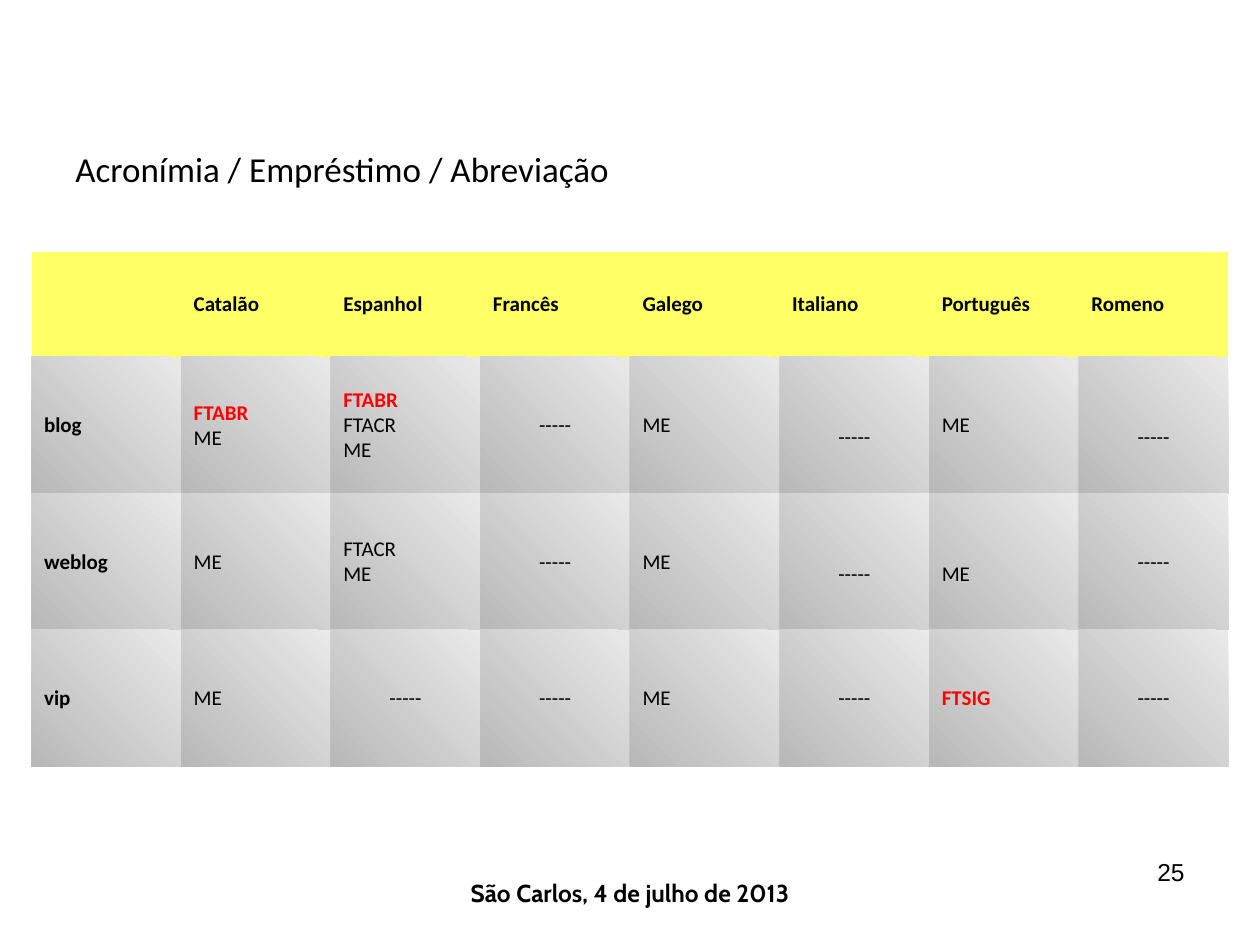
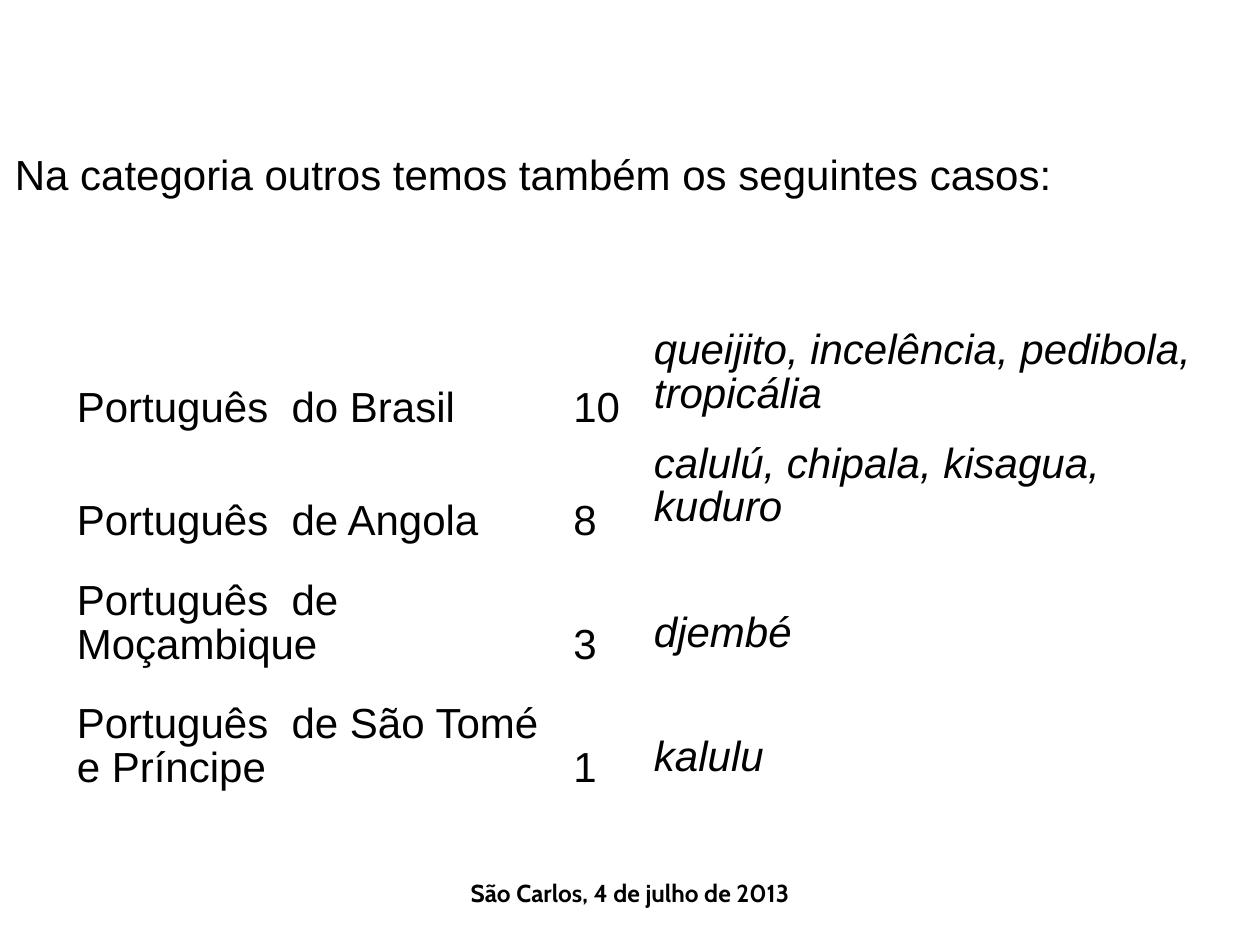
"""Build two slides on Romance neologisms: a process table and a list of other cases."""
from dataclasses import dataclass, field

from pptx import Presentation
from pptx.dml.color import RGBColor
from pptx.enum.text import MSO_ANCHOR as Anchor, PP_ALIGN as Align
from pptx.oxml.ns import qn
from pptx.util import Pt

COLORS = {"ink": "000000", "accent": "FF0000", "header": "FFFF66",
          "light": "E9E9E9", "dark": "B8B8B8"}
PLAIN_STYLE = "{2D5ABB26-0587-4C30-8999-92F81FD0307C}"
INSET_X, INSET_Y = 7.2, 3.6


@dataclass(frozen=True)
class Font:
    name: str
    size: float
    bold: bool = False
    italic: bool = False
    color: str = "ink"


@dataclass(frozen=True)
class Label:
    text: str
    box: tuple[float, float, float, float]
    font: Font
    align: Align = Align.LEFT
    anchor: Anchor = Anchor.TOP


@dataclass(frozen=True)
class Entry:
    lines: list[tuple[str, Font]] = field(default_factory=list)
    align: Align = Align.LEFT
    anchor: Anchor = Anchor.MIDDLE
    drop: float = 0
    fill: str = ""


@dataclass(frozen=True)
class Grid:
    left: float
    top: float
    widths: list[float]
    heights: list[float]
    spacing: float
    entries: list[list[Entry]]


BODY = Font("Calibri", 12)
STRONG = Font("Calibri", 12, bold=True)
MARKED = Font("Calibri", 12, bold=True, color="accent")
LARGE = Font("Arial", 24)
EXAMPLE = Font("Arial", 24, italic=True)

FOOTER = Label("São Carlos, 4 de julho de 2013", (246, 498, 228, 31),
               Font("Cabin", 14, bold=True), Align.CENTER)
PAGE_NUMBER = Label("25", (516, 486, 168, 43), Font("Arial", 14), Align.RIGHT)
PROCESS_TITLE = Label("Acronímia / Empréstimo / Abreviação", (36, 66, 654, 60),
                      Font("Calibri", 20), anchor=Anchor.MIDDLE)
CASES_TITLE = Label("Na categoria outros temos também os seguintes casos:",
                    (1.4, 81.5, 660, 64), LARGE)

LANGUAGES = ["", "Catalão", "Espanhol", "Francês", "Galego", "Italiano",
             "Português", "Romeno"]
NONE = "-----"
PROCESSES = {
    "blog": ["FTABR ME", "FTABR FTACR ME", NONE, "ME", NONE, "ME", NONE],
    "weblog": ["ME", "FTACR ME", NONE, "ME", NONE, "ME", NONE],
    "vip": ["ME", NONE, NONE, "ME", NONE, "FTSIG", NONE],
}
MARKED_CODES = {"FTABR", "FTSIG"}
LOWERED = {("blog", "Italiano"), ("blog", "Romeno"),
           ("weblog", "Italiano"), ("weblog", "Português")}
CASES = [
    ("Português  do Brasil", "10", "queijito, incelência, pedibola, tropicália", 0),
    ("Português  de Angola", "8", "calulú, chipala, kisagua, kuduro", 0),
    ("Português  de Moçambique", "3", "djembé", 32),
    ("Português  de São Tomé e Príncipe", "1", "kalulu", 32),
]


def rgb(name: str) -> RGBColor:
    return RGBColor.from_string(COLORS[name])


def add_run(p, text: str, font: Font) -> None:
    r = p.add_run()
    r.text = text
    r.font.name, r.font.size = font.name, Pt(font.size)
    r.font.bold, r.font.italic = font.bold, font.italic
    r.font.color.rgb = rgb(font.color)


def set_margins(frame, drop: float = 0) -> None:
    frame.margin_left = frame.margin_right = Pt(INSET_X)
    frame.margin_top, frame.margin_bottom = Pt(INSET_Y + drop), Pt(INSET_Y)


def draw_label(s, label: Label) -> None:
    tf = s.shapes.add_textbox(*(Pt(v) for v in label.box)).text_frame
    tf.word_wrap = True
    tf.vertical_anchor = label.anchor
    set_margins(tf)
    p = tf.paragraphs[0]
    p.alignment = label.align
    add_run(p, label.text, label.font)


def fill_cell(cell, fill: str) -> None:
    if fill == "gradient":
        cell.fill.gradient()
        cell.fill.gradient_angle = 225
        for stop, name, position in zip(cell.fill.gradient_stops, ("light", "dark"), (0, 1)):
            stop.color.rgb = rgb(name)
            stop.position = position
    elif fill:
        cell.fill.solid()
        cell.fill.fore_color.rgb = rgb(fill)
    else:
        cell.fill.background()


def draw_entry(cell, entry: Entry, spacing: float) -> None:
    fill_cell(cell, entry.fill)
    set_margins(cell, entry.drop)
    cell.vertical_anchor = entry.anchor
    tf = cell.text_frame
    for i, (text, font) in enumerate(entry.lines):
        p = tf.add_paragraph() if i else tf.paragraphs[0]
        p.alignment, p.line_spacing = entry.align, spacing
        add_run(p, text, font)


def draw_grid(s, grid: Grid) -> None:
    table = s.shapes.add_table(
        len(grid.heights), len(grid.widths), Pt(grid.left), Pt(grid.top),
        Pt(sum(grid.widths)), Pt(sum(grid.heights))).table
    table.first_row = table.horz_banding = False
    table._tbl.tblPr.find(qn("a:tableStyleId")).text = PLAIN_STYLE
    for column, width in zip(table.columns, grid.widths):
        column.width = Pt(width)
    for row, height, entries in zip(table.rows, grid.heights, grid.entries):
        row.height = Pt(height)
        for cell, entry in zip(row.cells, entries):
            draw_entry(cell, entry, grid.spacing)


def process_entry(word: str, language: str, codes: str) -> Entry:
    lines = [(c, MARKED if c in MARKED_CODES else BODY) for c in codes.split()]
    return Entry(lines, Align.CENTER if codes == NONE else Align.LEFT,
                 drop=14 if (word, language) in LOWERED else 0, fill="gradient")


def process_grid() -> Grid:
    rows = [[Entry([(name, STRONG)] if name else [], fill="header") for name in LANGUAGES]]
    for word, codes in PROCESSES.items():
        rows.append([Entry([(word, STRONG)], fill="gradient")]
                    + [process_entry(word, *pair) for pair in zip(LANGUAGES[1:], codes)])
    return Grid(18, 144, [85.5] * len(LANGUAGES), [60] + [78] * len(PROCESSES), 0.97, rows)


def case_grid() -> Grid:
    rows = [[Entry([(variety, LARGE)], anchor=Anchor.BOTTOM),
             Entry([(count, LARGE)], anchor=Anchor.BOTTOM),
             Entry([(examples, EXAMPLE)], anchor=Anchor.TOP, drop=drop)]
            for variety, count, examples, drop in CASES]
    return Grid(36.7, 185, [283.7, 46.1, 328.5], [64.8] * 2 + [70.6] * 2, 0.93, rows)


def main() -> None:
    prs = Presentation()
    prs.slide_width, prs.slide_height = Pt(720), Pt(540)
    for labels, grid in (([PAGE_NUMBER, PROCESS_TITLE], process_grid()),
                         ([CASES_TITLE], case_grid())):
        s = prs.slides.add_slide(prs.slide_layouts[6])
        for label in [FOOTER, *labels]:
            draw_label(s, label)
        draw_grid(s, grid)
    prs.save("out.pptx")


if __name__ == "__main__":
    main()
